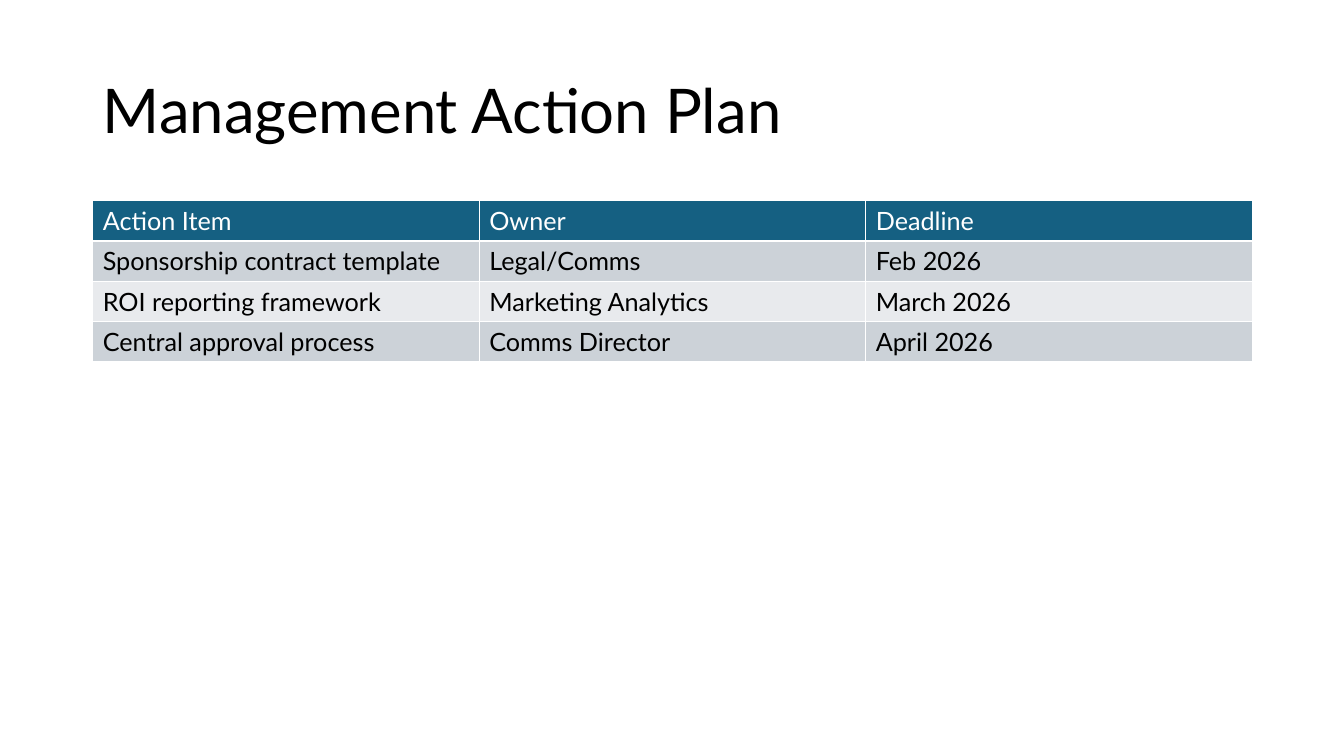
from pptx import Presentation
from pptx.dml.color import RGBColor
from pptx.enum.text import MSO_ANCHOR, PP_ALIGN
from pptx.util import Inches, Pt

FONT = "Lato"
BLACK = RGBColor(0x00, 0x00, 0x00)
WHITE = RGBColor(0xFF, 0xFF, 0xFF)
HEADER_BLUE = RGBColor(0x15, 0x60, 0x82)
BAND_DARK = RGBColor(0xCC, 0xD2, 0xD8)
BAND_LIGHT = RGBColor(0xE8, 0xEA, 0xED)

ROW_HEIGHT = 0.4
ACTIONS = [
    ("Action Item", "Owner", "Deadline"),
    ("Sponsorship contract template", "Legal/Comms", "Feb 2026"),
    ("ROI reporting framework", "Marketing Analytics", "March 2026"),
    ("Central approval process", "Comms Director", "April 2026"),
]


def write_text(frame, text, size=18, color=BLACK, spacing=1.0):
    para = frame.paragraphs[0]
    para.alignment = PP_ALIGN.LEFT
    para.line_spacing = spacing
    span = para.add_run()
    span.text = text
    span.font.name = FONT
    span.font.size = Pt(size)
    span.font.bold = False
    span.font.color.rgb = color


def place_title(page, box, text):
    title = page.shapes.title
    title.left, title.top, title.width, title.height = map(Inches, box)
    title.text_frame.word_wrap = True
    title.text_frame.vertical_anchor = MSO_ANCHOR.MIDDLE
    write_text(title.text_frame, text, size=44, spacing=0.9)


def row_colors(index):
    if index == 0:
        return HEADER_BLUE, WHITE
    return (BAND_DARK if index % 2 else BAND_LIGHT), BLACK


def place_action_table(page, box, rows):
    left, top, width, height = map(Inches, box)
    frame = page.shapes.add_table(len(rows), len(rows[0]), left, top, width, height)
    for row_index, row in enumerate(rows):
        fill, color = row_colors(row_index)
        for column_index, text in enumerate(row):
            cell = frame.table.cell(row_index, column_index)
            cell.fill.solid()
            cell.fill.fore_color.rgb = fill
            write_text(cell.text_frame, text, color=color)


def main():
    deck = Presentation()
    deck.slide_width, deck.slide_height = Inches(13.33), Inches(7.5)
    page = deck.slides.add_slide(deck.slide_layouts[5])
    left, width = 0.92, 11.5
    place_title(page, (left, 0.4, width, 1.45), "Management Action Plan")
    place_action_table(page, (left, 1.99, width, ROW_HEIGHT * len(ACTIONS)), ACTIONS)
    deck.save("out.pptx")


if __name__ == "__main__":
    main()
